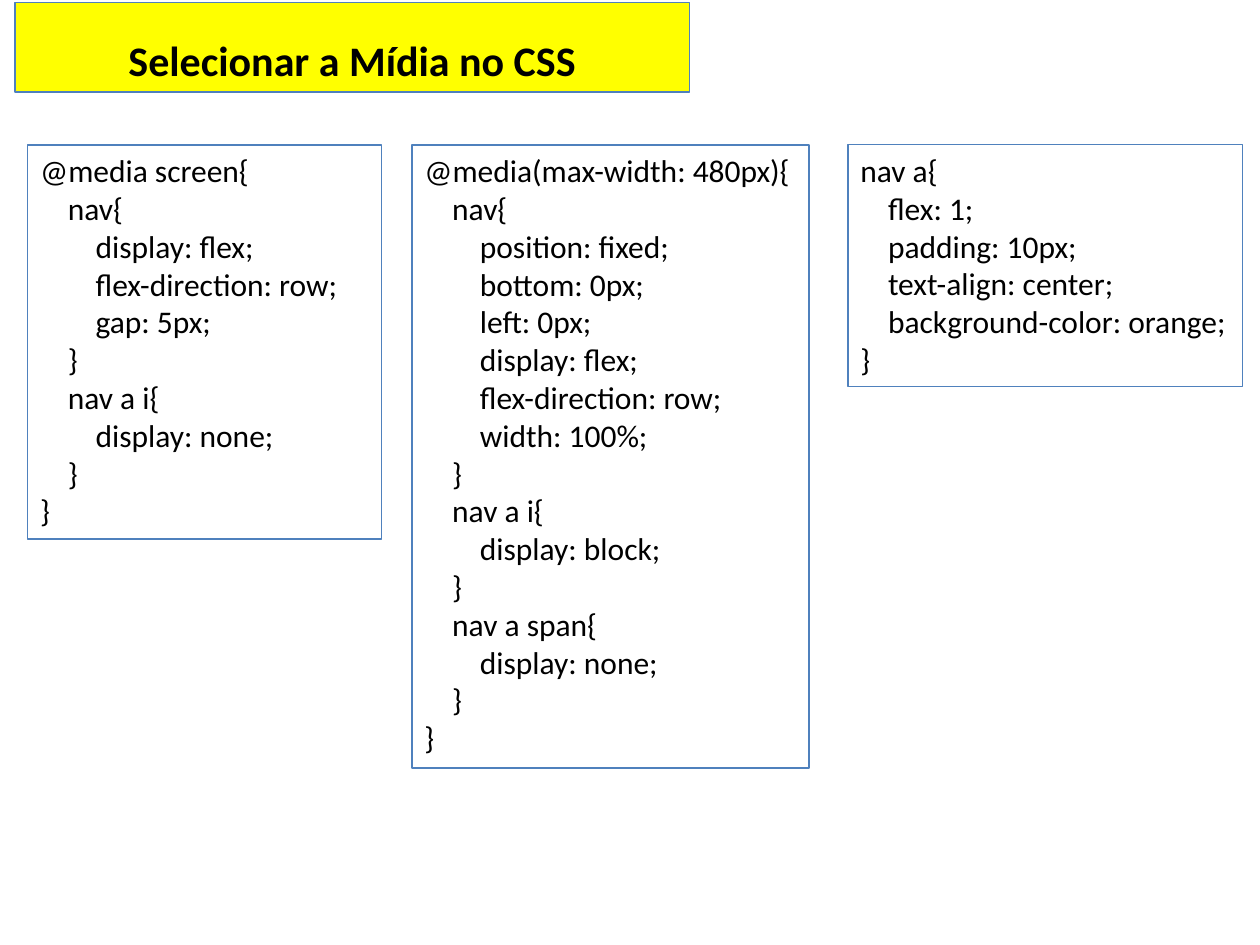
from dataclasses import dataclass

from pptx import Presentation
from pptx.dml.color import RGBColor
from pptx.enum.shapes import MSO_SHAPE
from pptx.enum.text import MSO_ANCHOR, PP_ALIGN
from pptx.util import Inches, Pt

RECTANGLE = MSO_SHAPE.RECTANGLE
TOP, MIDDLE = MSO_ANCHOR.TOP, MSO_ANCHOR.MIDDLE
LEFT, CENTER = PP_ALIGN.LEFT, PP_ALIGN.CENTER

COLORS = {"banner": "FFFF00", "border": "4F81BD", "text": "000000"}
FONT = "Calibri"
SLIDE_WIDTH, SLIDE_HEIGHT = Inches(10), Inches(7.5)
CODE_TOP = Inches(1.15)
CODE_LINE = Pt(21.8)
CODE_PADDING = Inches(0.1)
INDENT = Inches(0.22)


@dataclass
class CodePanel:
    left: float
    width: float
    code: str


PANELS = [
    CodePanel(0.022, 0.281, """@media screen{
nav{
display: flex;
flex-direction: row;
gap: 5px;
}
nav a i{
display: none;
}
}"""),
    CodePanel(0.327, 0.315, """@media(max-width: 480px){
nav{
position: fixed;
bottom: 0px;
left: 0px;
display: flex;
flex-direction: row;
width: 100%;
}
nav a i{
display: block;
}
nav a span{
display: none;
}
}"""),
    CodePanel(0.673, 0.313, """nav a{
flex: 1;
padding: 10px;
text-align: center;
background-color: orange;
}"""),
]


def add_box(page, left: int, top: int, width: int, height: int, anchor):
    box = page.shapes.add_shape(RECTANGLE, left, top, width, height)
    box.shadow.inherit = False
    box.fill.background()
    box.line.color.rgb = RGBColor.from_string(COLORS["border"])
    box.line.width = Pt(0.75)
    box.text_frame.word_wrap = True
    box.text_frame.vertical_anchor = anchor
    return box


def style_paragraph(para, size: int, align, bold: bool = False) -> None:
    para.alignment = align
    para.font.name = FONT
    para.font.size = Pt(size)
    para.font.bold = bold
    para.font.color.rgb = RGBColor.from_string(COLORS["text"])


def add_title(page, text: str) -> None:
    box = add_box(page, Inches(0.12), Inches(0.02), Inches(5.35), Inches(0.71), MIDDLE)
    box.fill.solid()
    box.fill.fore_color.rgb = RGBColor.from_string(COLORS["banner"])
    para = box.text_frame.paragraphs[0]
    para.text = text
    para.line_spacing = 1.5
    style_paragraph(para, 24, CENTER, bold=True)


def add_code_panel(page, panel: CodePanel) -> None:
    lines = panel.code.splitlines()
    height = CODE_LINE * len(lines) + CODE_PADDING
    box = add_box(page, int(SLIDE_WIDTH * panel.left), CODE_TOP,
                  int(SLIDE_WIDTH * panel.width), height, TOP)
    frame = box.text_frame
    frame.text = panel.code
    depth = 0
    for line, para in zip(lines, frame.paragraphs):
        depth -= line.count("}")
        style_paragraph(para, 18, LEFT)
        properties = para._p.get_or_add_pPr()
        properties.set("marL", str(INDENT * depth))
        properties.set("indent", "0")
        depth += line.count("{")


def main() -> None:
    deck = Presentation()
    deck.slide_width, deck.slide_height = SLIDE_WIDTH, SLIDE_HEIGHT
    page = deck.slides.add_slide(deck.slide_layouts[6])
    add_title(page, "Selecionar a Mídia no CSS")
    for panel in PANELS:
        add_code_panel(page, panel)
    deck.save("out.pptx")


if __name__ == "__main__":
    main()
